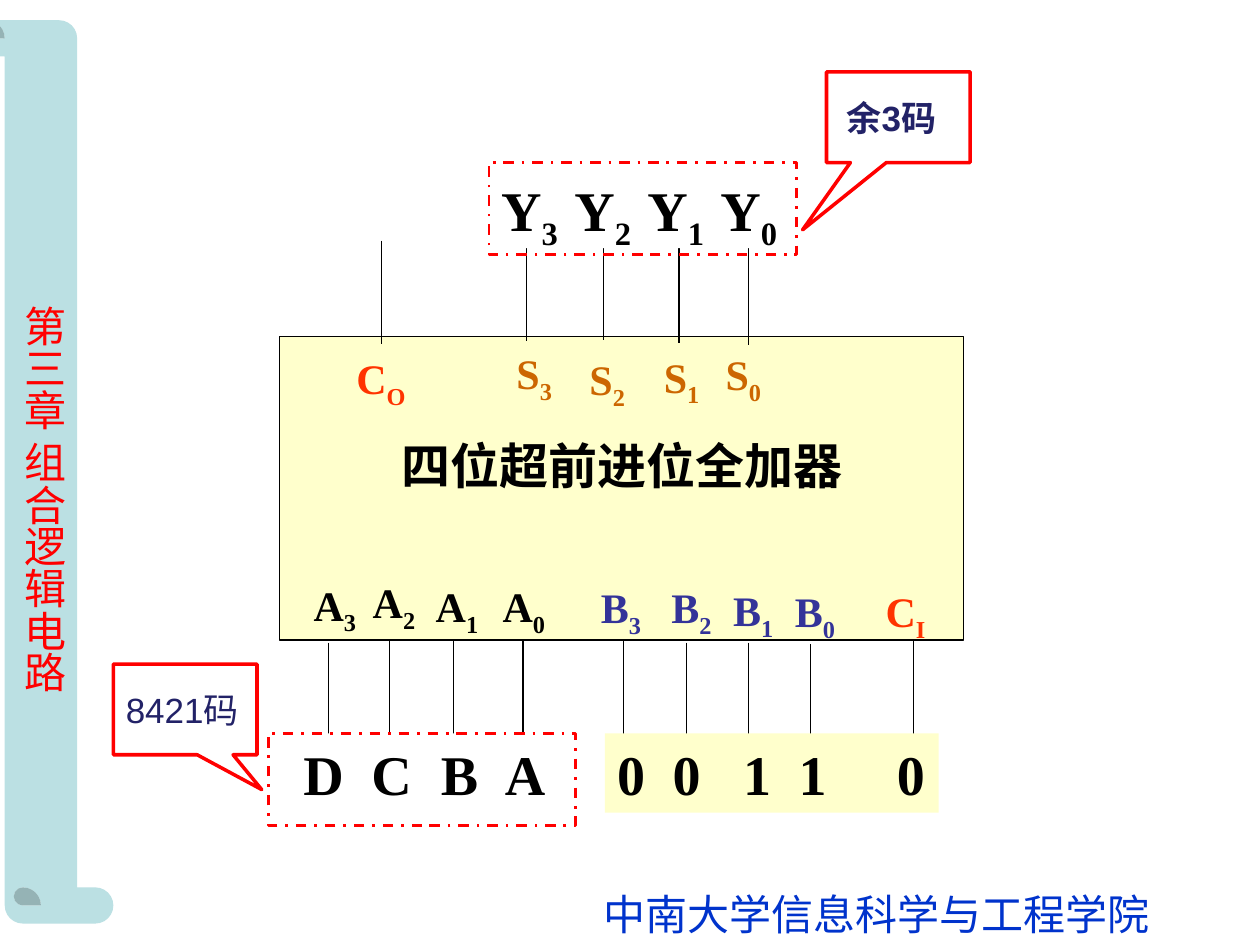
from dataclasses import dataclass

from lxml import etree
from pptx import Presentation
from pptx.dml.color import RGBColor
from pptx.enum.dml import MSO_LINE
from pptx.enum.shapes import MSO_CONNECTOR, MSO_SHAPE as Shape
from pptx.enum.text import MSO_ANCHOR as Anchor, MSO_AUTO_SIZE as AutoSize, PP_ALIGN as Align
from pptx.oxml.ns import qn
from pptx.util import Inches, Pt


@dataclass(frozen=True)
class Theme:
    black: str = "000000"
    white: str = "FFFFFF"
    red: str = "FF0000"
    carry: str = "FF3300"
    total: str = "CC6600"
    addend: str = "333399"
    note: str = "222267"
    school: str = "0033CC"
    scroll: str = "BBE0E3"
    cream: str = "FFFFCC"
    serif: str = "Times New Roman"
    sans: str = "Arial"
    chinese: str = "Noto Sans CJK SC"
    note_size: int = 20
    label_size: int = 24
    block_size: int = 28
    value_size: int = 32


class SlideBuilder:
    def __init__(self, page, theme):
        self.page = page
        self.theme = theme

    def style(self, para, size, color, name, bold=False):
        font = para.font
        font.size = Pt(size)
        font.bold = bold
        font.color.rgb = RGBColor.from_string(color)
        font.name = name
        properties = para._p.pPr.find(qn("a:defRPr"))
        etree.SubElement(properties, qn("a:ea"), typeface=self.theme.chinese)

    def shape(self, kind, box, fill=None, line=None, width=0.75, dash=None, adjust=()):
        item = self.page.shapes.add_shape(kind, *map(Inches, box))
        item.shadow.inherit = False
        for index, value in enumerate(adjust):
            item.adjustments[index] = value
        if fill:
            item.fill.solid()
            item.fill.fore_color.rgb = RGBColor.from_string(fill)
        else:
            item.fill.background()
        if line:
            item.line.color.rgb = RGBColor.from_string(line)
            item.line.width = Pt(width)
            item.line.dash_style = dash
        else:
            item.line.fill.background()
        return item

    def shape_text(self, item, text, size, color, name, bold=False, align=Align.LEFT):
        frame = item.text_frame
        frame.word_wrap = True
        frame.vertical_anchor = Anchor.MIDDLE
        para = frame.paragraphs[0]
        para.text = text
        para.alignment = align
        self.style(para, size, color, name, bold)
        return frame

    def text_box(self, box, wrap=True, fill=None):
        item = self.page.shapes.add_textbox(*map(Inches, box))
        if fill:
            item.fill.solid()
            item.fill.fore_color.rgb = RGBColor.from_string(fill)
        frame = item.text_frame
        frame.word_wrap = wrap
        frame.auto_size = AutoSize.SHAPE_TO_FIT_TEXT
        return frame

    def caption(self, box, text, color, name, vertical=False):
        frame = self.text_box(box, wrap=False)
        if vertical:
            frame._txBody.bodyPr.set("vert", "eaVert")
        para = frame.paragraphs[0]
        para.text = text
        self.style(para, self.theme.label_size, color, name)

    def symbol(self, para, letter, subscript=""):
        para.add_run().text = letter
        if subscript:
            span = para.add_run()
            span.text = subscript
            span._r.get_or_add_rPr().set("baseline", "-25000")

    def pin_label(self, left, top, name, color):
        para = self.text_box((left, top, 0.69, 0.5)).paragraphs[0]
        self.symbol(para, *name)
        self.style(para, self.theme.label_size, color, self.theme.serif, True)

    def value_row(self, box, symbols, stops, fill):
        """Write one symbol at the left edge and one at each tab stop."""
        frame = self.text_box(box, fill=fill)
        frame.margin_right = 0
        para = frame.paragraphs[0]
        tabs = etree.SubElement(para._p.get_or_add_pPr(), qn("a:tabLst"))
        for stop in stops:
            etree.SubElement(tabs, qn("a:tab"), pos=str(Inches(stop)), algn="l")
        for index, name in enumerate(symbols):
            if index:
                para.add_run().text = "\t"
            self.symbol(para, *name)
        self.style(para, self.theme.value_size, self.theme.black, self.theme.serif, True)

    def wire(self, x, top, length=0.82):
        line = self.page.shapes.add_connector(
            MSO_CONNECTOR.STRAIGHT, Inches(x), Inches(top), Inches(x), Inches(top + length))
        line.line.color.rgb = RGBColor.from_string(self.theme.black)
        line.line.width = Pt(0.75)
        etree.SubElement(line._element.spPr, qn("a:effectLst"))

    def dashed_frame(self, left, top):
        self.shape(Shape.RECTANGLE, (left, top, 2.44, 0.73), line=self.theme.red,
                   width=1.5, dash=MSO_LINE.DASH_DOT)

    def callout(self, left, top, tip, text, bold=False, indent=0.1):
        item = self.shape(Shape.RECTANGULAR_CALLOUT, (left, top, 1.14, 0.72),
                          line=self.theme.red, width=2, adjust=tip)
        frame = self.shape_text(item, text, self.theme.note_size, self.theme.note,
                                self.theme.sans, bold)
        frame.margin_left = Inches(indent)


def main():
    deck = Presentation()
    deck.slide_width, deck.slide_height = Inches(10), Inches(7.5)
    theme = Theme()
    slide = SlideBuilder(deck.slides.add_slide(deck.slide_layouts[6]), theme)

    scroll = slide.shape(Shape.HORIZONTAL_SCROLL, (-3.26, 3.17, 7.17, 1.15),
                         fill=theme.scroll, adjust=(0.25,))
    scroll.rotation = 270
    slide.caption((0, 2.33, 0.6, 3.27), "第三章 组合逻辑电路", theme.red, theme.chinese, True)
    slide.caption((4.69, 7, 4.53, 0.5), "中南大学信息科学与工程学院", theme.school, theme.serif)

    adder = slide.shape(Shape.RECTANGLE, (2.22, 2.67, 5.43, 2.41), theme.cream, theme.black)
    frame = slide.shape_text(adder, "四位超前进位全加器", theme.block_size, theme.black,
                             theme.serif, True, Align.CENTER)
    frame.margin_bottom = Inches(0.42)

    input_wires = [(2.61, 5.1), (3.09, 5.09), (3.6, 5.09), (4.15, 5.09), (4.95, 5.08),
                   (5.45, 5.1), (5.94, 5.1), (6.43, 5.11), (7.25, 5.09)]
    output_wires = [(3.03, 1.91), (4.18, 1.89), (4.79, 1.88), (5.39, 1.9), (5.94, 1.92)]
    for x, top in input_wires + output_wires:
        slide.wire(x, top)

    pin_groups = {
        "A": (theme.black, "3210", [(2.39, 4.55), (2.86, 4.53), (3.36, 4.56), (3.89, 4.56)]),
        "B": (theme.addend, "3210", [(4.67, 4.57), (5.23, 4.57), (5.72, 4.59), (6.21, 4.6)]),
        "C": (theme.carry, "IO", [(6.93, 4.6), (2.73, 2.75)]),
        "S": (theme.total, "3210", [(4, 2.71), (4.58, 2.76), (5.17, 2.74), (5.66, 2.72)]),
    }
    for letter, (color, subscripts, places) in pin_groups.items():
        for subscript, (left, top) in zip(subscripts, places):
            slide.pin_label(left, top, letter + subscript, color)

    slide.value_row((3.88, 1.34, 2.6, 0.63), ["Y3", "Y2", "Y1", "Y0"],
                    (0.58, 1.16, 1.74), theme.white)
    slide.value_row((2.31, 5.82, 2.3, 0.63), "DCBA", (0.54, 1.09, 1.6), theme.white)
    slide.value_row((4.8, 5.82, 2.65, 0.63), "00110", (0.44, 1, 1.44, 2.22), theme.cream)

    slide.dashed_frame(2.13, 5.82)
    slide.dashed_frame(3.88, 1.29)
    slide.callout(6.56, 0.57, (-0.667, 1.242), "余3码", bold=True, indent=0.16)
    slide.callout(0.9, 5.27, (0.533, 0.884), "8421码")

    deck.save("out.pptx")


if __name__ == "__main__":
    main()
